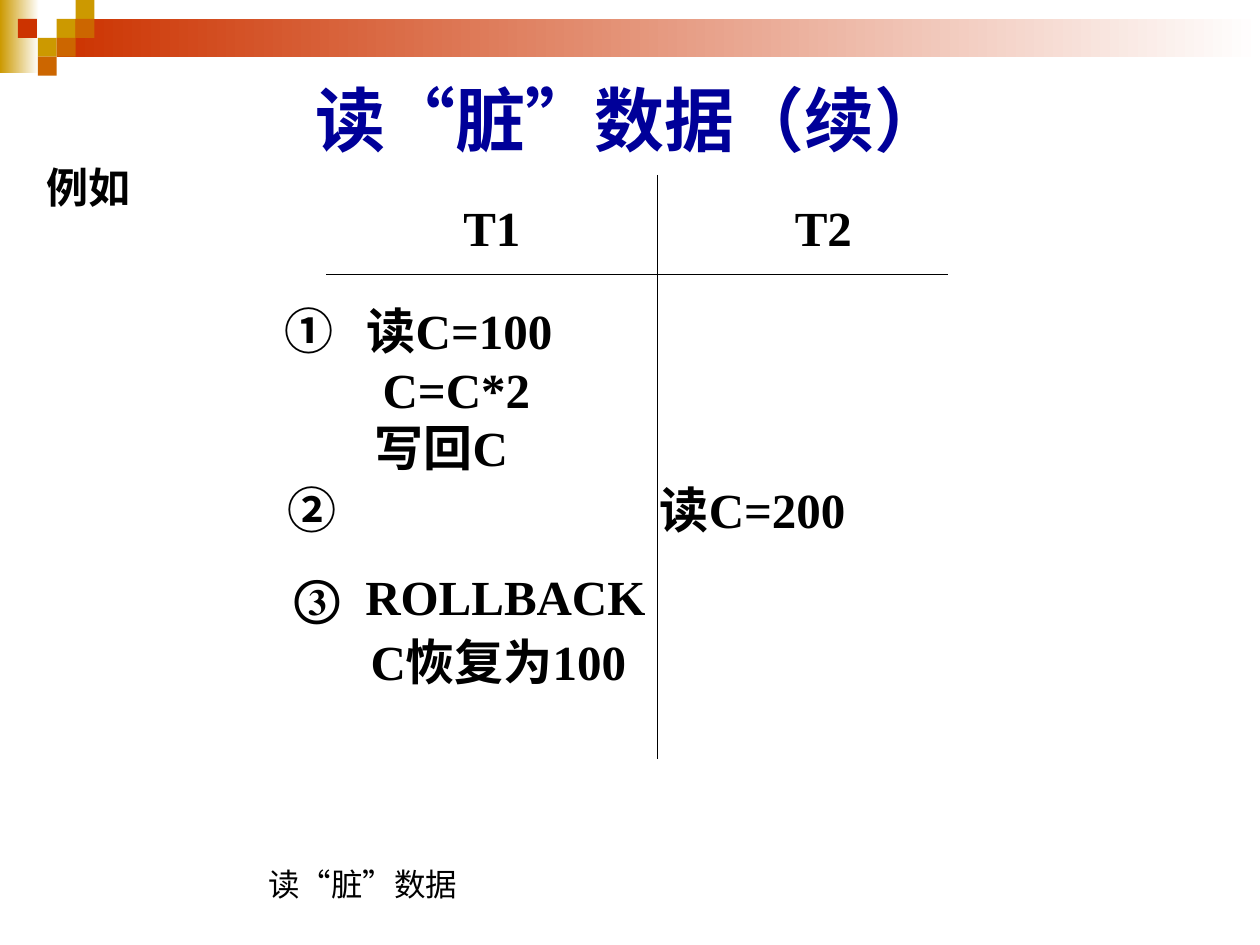
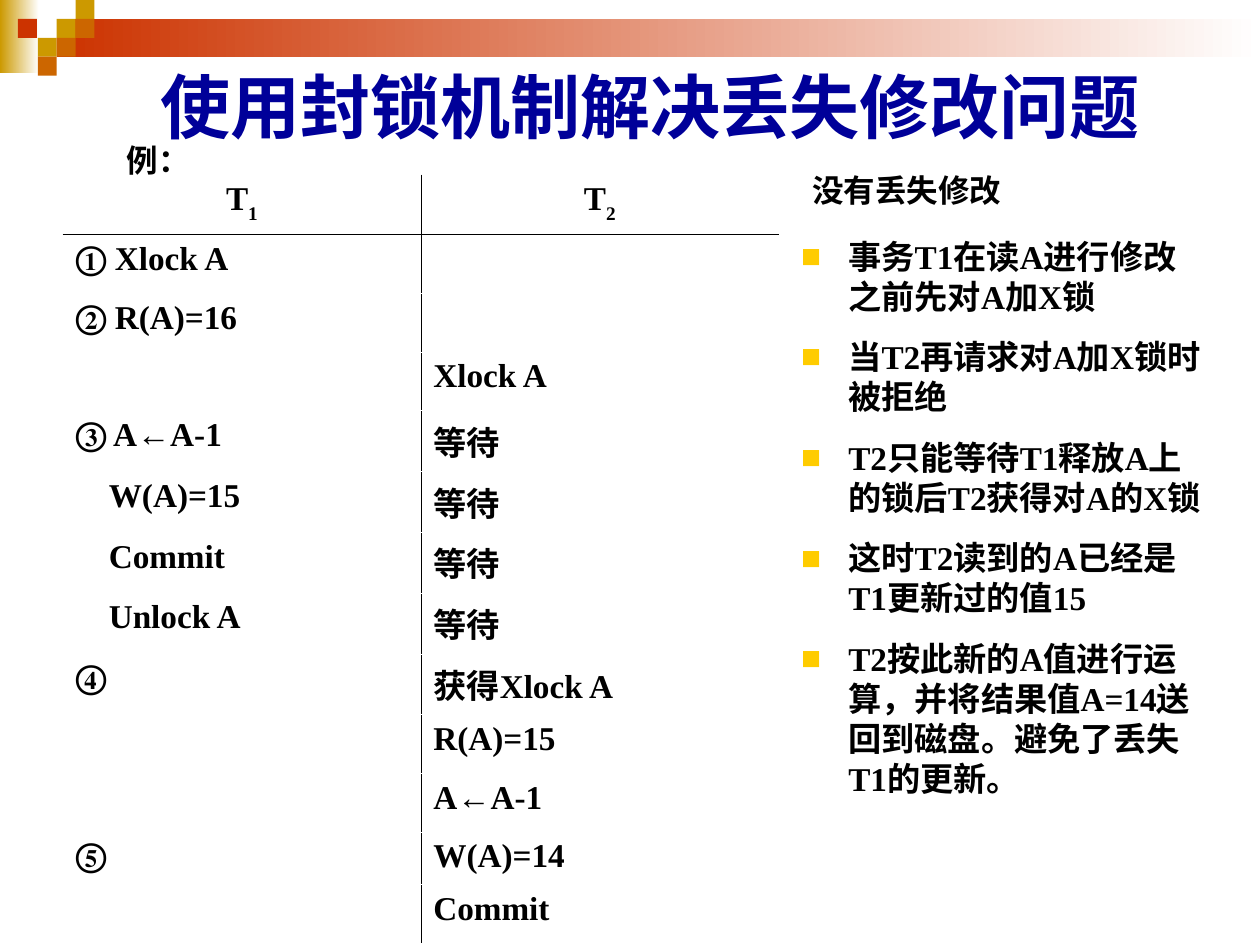
from dataclasses import dataclass

from lxml import etree
from pptx import Presentation
from pptx.dml.color import RGBColor
from pptx.enum import shapes, text
from pptx.oxml import ns
from pptx.util import Pt


@dataclass(frozen=True)
class Theme:
    """Colours, fonts and type sizes of the lecture."""
    gold: str = "CC9900"
    orange: str = "CC6600"
    red: str = "CC3300"
    navy: str = "000099"
    bullet: str = "FFCC00"
    ink: str = "000000"
    paper: str = "FFFFFF"
    heading: str = "Arial"
    body: str = "Times New Roman"
    title_size: int = 40
    schedule_size: int = 28
    lead_size: int = 24
    table_size: int = 19
    note_size: int = 18


THEME = Theme()
ALIGN = text.PP_ALIGN


def rgb(code):
    """Turn a hex code into a colour."""
    return RGBColor.from_string(code)


def child(parent, tag, **attributes):
    """Append a DrawingML element."""
    return etree.SubElement(parent, ns.qn(tag), **attributes)


def write(frame, lines, size, font=THEME.body, color=THEME.ink, bold=True,
          align=ALIGN.LEFT, anchor=text.MSO_ANCHOR.TOP, before=0, spacing=None,
          indents=(), bullet=None):
    """Fill a text frame; a line is a string or a (base, subscript) pair."""
    frame.word_wrap = True
    frame.vertical_anchor = anchor
    for number, line in enumerate(lines):
        paragraph = frame.paragraphs[0] if number == 0 else frame.add_paragraph()
        paragraph.alignment = align
        paragraph.space_before = Pt(before)
        if spacing:
            paragraph.line_spacing = spacing
        properties = paragraph._p.get_or_add_pPr()
        if indents:
            left, first = indents[min(number, len(indents) - 1)]
            properties.set("marL", str(Pt(left)))
            properties.set("indent", str(Pt(first)))
        if bullet:
            child(child(properties, "a:buClr"), "a:srgbClr", val=bullet)
            child(properties, "a:buFont", typeface=THEME.heading)
            child(properties, "a:buChar", char="■")
        parts = (line,) if isinstance(line, str) else line
        for level, part in enumerate(parts):
            run = paragraph.add_run()
            run.text = part
            run.font.size, run.font.bold, run.font.name = Pt(size), bold, font
            run.font.color.rgb = rgb(color)
            if level:
                run._r.get_or_add_rPr().set("baseline", "-30000")


def add_text(slide, box, *lines, **style):
    """Place a text box in the given box."""
    write(slide.shapes.add_textbox(*map(Pt, box)).text_frame, lines, **style)


def add_block(slide, box, color, fade=False):
    """Draw a borderless rectangle, plain or fading to the right."""
    block = slide.shapes.add_shape(shapes.MSO_SHAPE.RECTANGLE, *map(Pt, box))
    block.shadow.inherit = False
    block.line.fill.background()
    if fade:
        block.fill.gradient()
        block.fill.gradient_angle = 0
        for stop, tone in zip(block.fill.gradient_stops, (color, THEME.paper)):
            stop.color.rgb = rgb(tone)
    else:
        block.fill.solid()
        block.fill.fore_color.rgb = rgb(color)


def add_rule(slide, start, end):
    """Draw a thin line between two points."""
    rule = slide.shapes.add_connector(
        shapes.MSO_CONNECTOR.STRAIGHT, *map(Pt, (*start, *end)))
    rule.line.color.rgb = rgb(THEME.ink)
    rule.line.width = Pt(0.74)
    child(rule._element.spPr, "a:effectLst")


def add_header(slide, width, unit=10.8):
    """Draw the fading bands and the mosaic of squares at the top."""
    add_block(slide, (0, 0, 22.3, 41.8), THEME.gold, fade=True)
    add_block(slide, (3 * unit, unit, width - 3 * unit, 2 * unit), THEME.red, fade=True)
    mosaic = {
        THEME.gold: [(3, 1), (4, 0), (2, 2)],
        THEME.orange: [(4, 1), (3, 2), (2, 3)],
        THEME.red: [(0.95, 1)],
    }
    for color, squares in mosaic.items():
        for column, row in squares:
            add_block(slide, (column * unit, row * unit, unit, unit), color)


def add_title(slide, box, title):
    """Write the centred slide title."""
    add_text(slide, box, title, size=THEME.title_size, font=THEME.heading,
             color=THEME.navy, align=ALIGN.CENTER, anchor=text.MSO_ANCHOR.MIDDLE)


def add_schedule(slide, box):
    """Draw the two-transaction schedule of the dirty read."""
    left, top, width, height = box
    divider, header_line = left + 220.2, top + 57
    size = THEME.schedule_size
    add_rule(slide, (divider, top), (divider, top + height))
    add_rule(slide, (left + 31, header_line), (left + width, header_line))
    for name, offset in (("T1", 102.2), ("T2", 291.6)):
        add_text(slide, (left + offset, top + 9.4, 55.4, 41), name, size=size)
    add_text(slide, (left, top + 68, 284, 108), "①\t读C=100", "C=C*2", "写回C",
             size=size, indents=((47, -47), (56, 0), (51.5, 0)))
    add_text(slide, (left + 2, top + 174.2, 429, 37.4), "②\t读C=200",
             size=size, spacing=0.9, indents=((212.5, -212.5),))
    add_text(slide, (left + 5.7, top + 224, 260, 82), "③\tROLLBACK", "C恢复为100",
             size=size, spacing=0.9, before=7, indents=((40.5, -40.5), (43.5, 0)))


def add_border(cell, side, color):
    """Set one border of a table cell."""
    line = child(cell._tc.get_or_add_tcPr(), f"a:{side}", w=str(Pt(0.45)))
    child(child(line, "a:solidFill"), "a:srgbClr", val=color)


def step_height(index, step):
    """Give the row height that suits the script of a step."""
    if index == 0:
        return 32.5
    if step[1] and step[1][0] in "等获":
        return 34.8
    return 28 if step[0] == "⑤" else 33.5


def add_lock_table(slide, box, steps):
    """Build the table of lock steps, with a ruled header and a middle rule."""
    table = slide.shapes.add_table(len(steps), 2, *map(Pt, box)).table
    table.first_row = table.horz_banding = False
    for index, step in enumerate(steps):
        table.rows[index].height = Pt(step_height(index, step))
        for column, entry in enumerate(step):
            cell = table.cell(index, column)
            continued = column == 0 and entry in ("W(A)=15", "Commit", "Unlock A")
            if entry:
                write(cell.text_frame, [entry], size=THEME.table_size,
                      align=ALIGN.CENTER if index == 0 else ALIGN.LEFT,
                      indents=((19, 0),) if continued else ())
            add_border(cell, "lnL", THEME.ink if column else THEME.paper)
            add_border(cell, "lnR", THEME.paper if column else THEME.ink)
            add_border(cell, "lnT", THEME.ink if index == 1 else THEME.paper)
            add_border(cell, "lnB", THEME.ink if index == 0 else THEME.paper)
            cell.fill.background()


def add_explanation(slide, box, heading, points):
    """Write a heading with a bulleted explanation below it."""
    left, top, width, height = box
    add_text(slide, (left - 20.9, top, 176.4, 28.8), heading,
             size=THEME.note_size, align=ALIGN.CENTER)
    add_text(slide, (left, top + 37, width, height - 37), *points,
             size=THEME.table_size, before=11.9, indents=((27, -27),),
             bullet=THEME.bullet)


def build_dirty_read(slide, width):
    """Compose the dirty read slide."""
    add_header(slide, width)
    add_title(slide, (36, 36, 648, 64), "读“脏”数据（续）")
    add_text(slide, (19.4, 88.6, 107, 36), "例如", size=THEME.lead_size)
    add_text(slide, (146.2, 491, 126, 28.8), "读“脏”数据", size=THEME.note_size,
             bold=False, anchor=text.MSO_ANCHOR.MIDDLE)
    add_schedule(slide, (155.5, 100, 386, 334))


def build_locking(slide, width):
    """Compose the slide on locking against lost updates."""
    add_header(slide, width)
    add_title(slide, (59.8, 37.4, 623.5, 45.4), "使用封锁机制解决丢失修改问题")
    add_lock_table(slide, (36, 100, 409, 436), [
        (("T", "1"), ("T", "2")),
        ("① Xlock A", ""),
        ("② R(A)=16", ""),
        ("", "Xlock A"),
        ("③ A←A-1", "等待"),
        ("W(A)=15", "等待"),
        ("Commit", "等待"),
        ("Unlock A", "等待"),
        ("④", "获得Xlock A"),
        ("", "R(A)=15"),
        ("", "A←A-1"),
        ("⑤", "W(A)=14"),
        ("", "Commit"),
    ])
    add_text(slide, (38.2, 77, 104.4, 28.8), "例：", size=THEME.note_size,
             align=ALIGN.CENTER)
    add_explanation(slide, (450.7, 94.3, 244, 388), "没有丢失修改", [
        "事务T1在读A进行修改之前先对A加X锁",
        "当T2再请求对A加X锁时被拒绝",
        "T2只能等待T1释放A上的锁后T2获得对A的X锁",
        "这时T2读到的A已经是T1更新过的值15",
        "T2按此新的A值进行运算，并将结果值A=14送回到磁盘。避免了丢失T1的更新。",
    ])


def main():
    """Build and save the lecture."""
    deck = Presentation()
    deck.slide_width, deck.slide_height = Pt(720), Pt(540)
    for build in (build_dirty_read, build_locking):
        build(deck.slides.add_slide(deck.slide_layouts[6]), deck.slide_width.pt)
    deck.save("out.pptx")


main()
